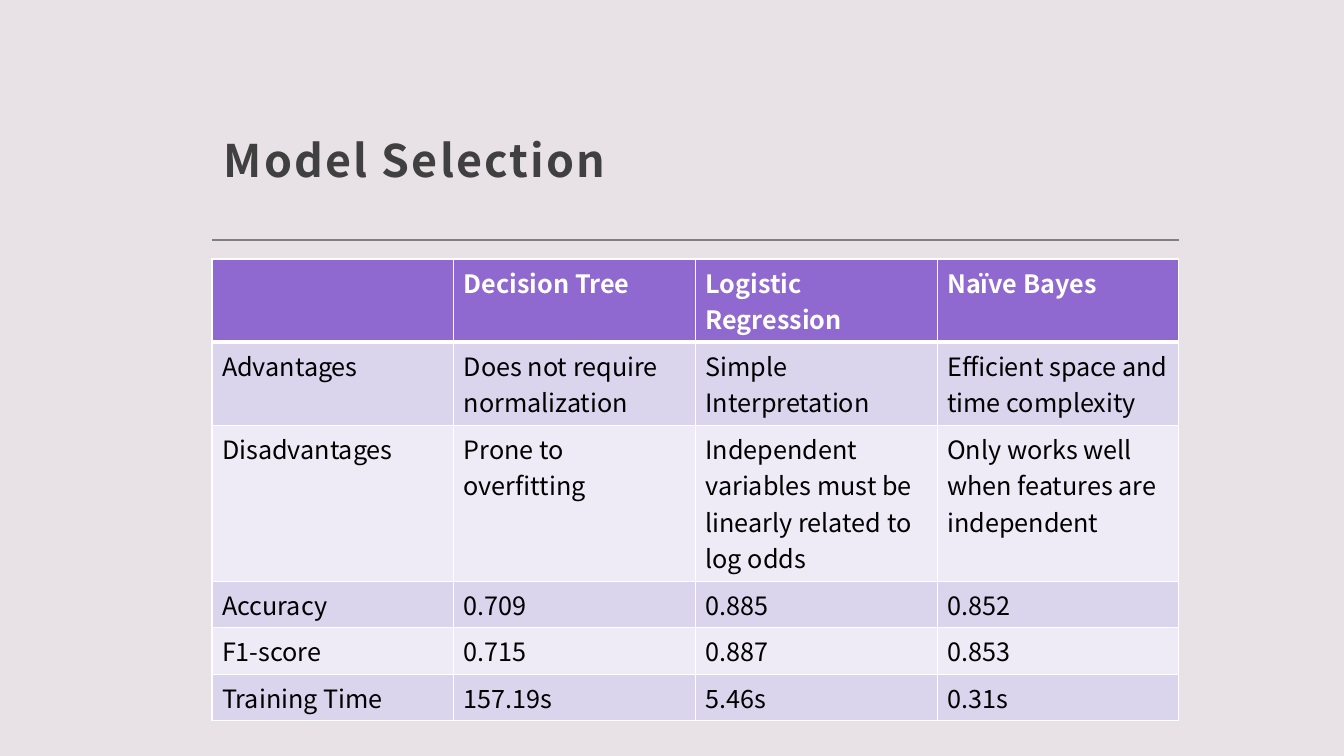
from dataclasses import dataclass
from typing import Any

from lxml.etree import SubElement
from pptx import Presentation
from pptx.dml.color import RGBColor
from pptx.enum.shapes import MSO_CONNECTOR
from pptx.enum.text import MSO_ANCHOR
from pptx.oxml.ns import qn
from pptx.util import Emu, Pt

PX_PER_INCH = 100.8
FONT = "Noto Sans CJK JP"
COLORS = {
    "background": "E8E2E6",
    "title": "404040",
    "rule": "808080",
    "header": "8F69CF",
    "odd_band": "DBD4ED",
    "even_band": "EEEBF6",
    "header_text": "FFFFFF",
    "body_text": "000000",
    "border": "FFFFFF",
}


@dataclass(frozen=True)
class Criterion:
    label: str
    values: tuple[str, str, str]
    height: int
    fill: str
    is_header: bool = False


CRITERIA = [
    Criterion("", ("Decision Tree", "Logistic Regression", "Naïve Bayes"), 83, "header", True),
    Criterion("Advantages", ("Does not require normalization", "Simple Interpretation",
                             "Efficient space and time complexity"), 83, "odd_band"),
    Criterion("Disadvantages", ("Prone to overfitting",
                                "Independent variables must be linearly related to log odds",
                                "Only works well when features are independent"), 156, "even_band"),
    Criterion("Accuracy", ("0.709", "0.885", "0.852"), 46, "odd_band"),
    Criterion("F1-score", ("0.715", "0.887", "0.853"), 46, "even_band"),
    Criterion("Training Time", ("157.19s", "5.46s", "0.31s"), 46, "odd_band"),
]


def px(pixels: int) -> Emu:
    return Emu(round(pixels * 914400 / PX_PER_INCH))


def rgb(name: str) -> RGBColor:
    return RGBColor.from_string(COLORS[name])


def apply_format(target: Any, values: dict[str, Any]) -> None:
    for attribute, value in values.items():
        setattr(target, attribute, value)


def style_font(font: Any, size: int, bold: bool, color: str) -> None:
    apply_format(font, {"name": FONT, "size": Pt(size), "bold": bold})
    font.color.rgb = rgb(color)


def add_border(cell: Any, side: str, points: int) -> None:
    border = SubElement(cell._tc.get_or_add_tcPr(), qn(f"a:ln{side}"), w=str(Pt(points)))
    fill = SubElement(border, qn("a:solidFill"))
    SubElement(fill, qn("a:srgbClr"), val=COLORS["border"])


def fill_cell(cell: Any, text: str, criterion: Criterion, border_widths: dict[str, int]) -> None:
    for side, points in border_widths.items():
        add_border(cell, side, points)
    cell.fill.solid()
    cell.fill.fore_color.rgb = rgb(criterion.fill)
    cell.text = text
    style_font(cell.text_frame.paragraphs[0].font, 18, criterion.is_header,
               "header_text" if criterion.is_header else "body_text")
    for run in cell.text_frame.paragraphs[0].runs:
        style_font(run.font, 18, criterion.is_header,
                   "header_text" if criterion.is_header else "body_text")


presentation = Presentation()
apply_format(presentation, {"slide_width": px(1344), "slide_height": px(756)})
slide = presentation.slides.add_slide(presentation.slide_layouts[6])
slide.background.fill.solid()
slide.background.fill.fore_color.rgb = rgb("background")

LEFT, WIDTH, COLUMNS = 212, 967, 4

# Rule under the title
title_rule = slide.shapes.add_connector(
    MSO_CONNECTOR.STRAIGHT, px(LEFT), px(240), px(LEFT + WIDTH), px(240))
title_rule.line.color.rgb = rgb("rule")
title_rule.line.width = Pt(2)
SubElement(title_rule._element.spPr, qn("a:effectLst"))

# Model comparison
comparison = slide.shapes.add_table(
    len(CRITERIA), COLUMNS, px(LEFT), px(259), px(WIDTH),
    px(sum(criterion.height for criterion in CRITERIA))).table
for column in comparison.columns:
    column.width = Emu(px(WIDTH) // COLUMNS)
for row_index, criterion in enumerate(CRITERIA):
    comparison.rows[row_index].height = px(criterion.height)
    border_widths = {"L": 1, "R": 1, "T": 3 if row_index == 1 else 1,
                     "B": 3 if criterion.is_header else 1}
    for column_index, text in enumerate((criterion.label, *criterion.values)):
        fill_cell(comparison.cell(row_index, column_index), text, criterion, border_widths)

# Title
heading = slide.shapes.add_textbox(px(LEFT), px(48), px(WIDTH), px(148)).text_frame
apply_format(heading, {
    "word_wrap": True, "vertical_anchor": MSO_ANCHOR.BOTTOM,
    "margin_left": px(12), "margin_top": px(12), "margin_right": px(12), "margin_bottom": px(10),
})
heading.paragraphs[0].line_spacing = 1.3
heading_run = heading.paragraphs[0].add_run()
heading_run.text = "Model Selection"
style_font(heading_run.font, 32, True, "title")
heading_run.font._element.set("spc", "150")

presentation.save("out.pptx")
